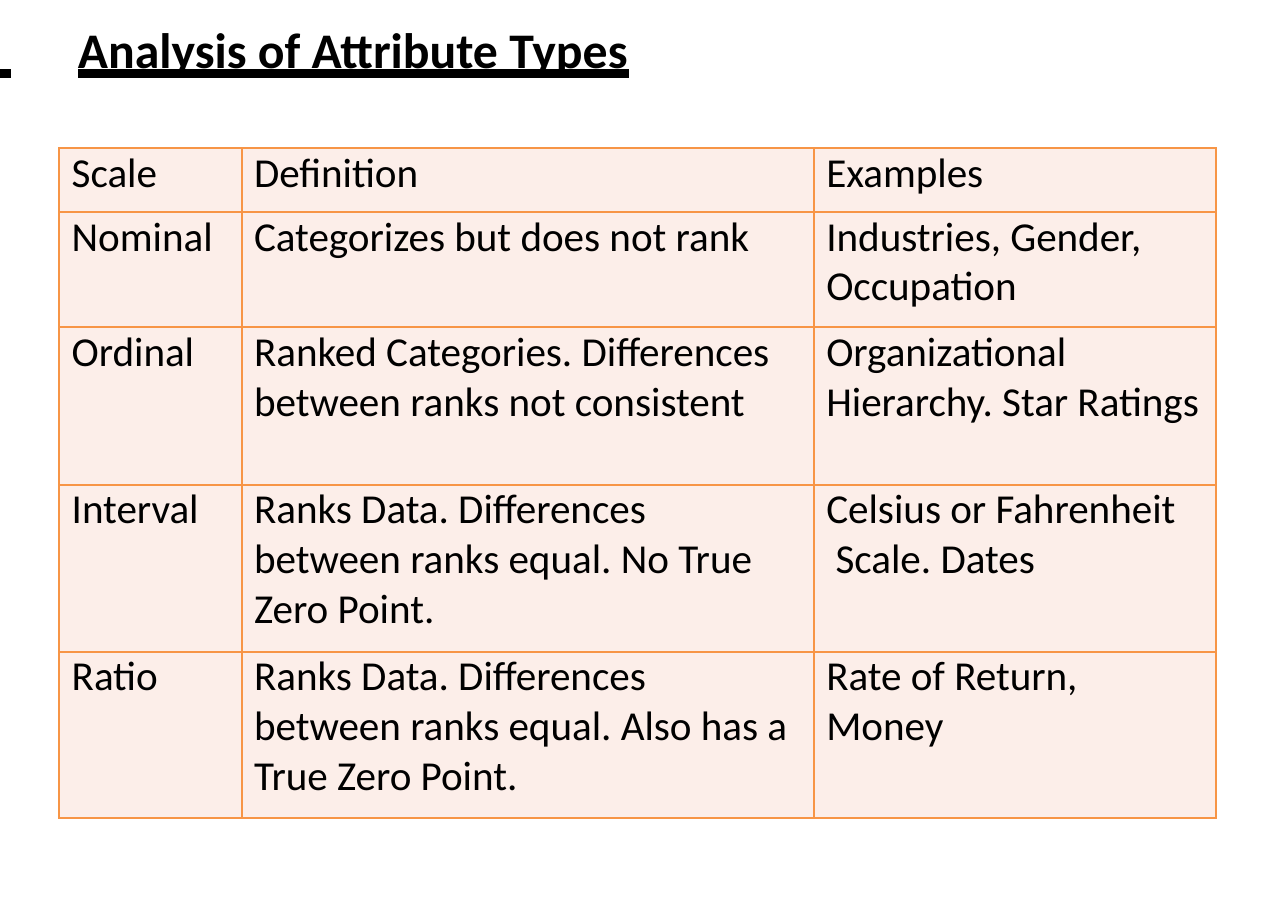
from lxml import etree
from pptx import Presentation
from pptx import util as u
from pptx.dml.color import RGBColor
from pptx.enum import text
from pptx.oxml.ns import qn

HUES = {"ink": "000000", "cell": "FCEEE9", "edge": "F79546"}
COLS = [1.17, 3.67, 2.58]
TALL = [0.41, 0.74, 1.01, 1.07, 1.07]
ROWS = [
    ["Scale", "Definition", "Examples"],
    ["Nominal", "Categorizes but does not rank",
     "Industries, Gender,\nOccupation"],
    ["Ordinal", "Ranked Categories. Differences\vbetween ranks not consistent",
     "Organizational\vHierarchy. Star Ratings"],
    ["Interval", "Ranks Data. Differences\vbetween ranks equal. No True\vZero Point.",
     "Celsius or Fahrenheit\v Scale. Dates"],
    ["Ratio", "Ranks Data. Differences\vbetween ranks equal. Also has a\vTrue Zero Point.",
     "Rate of Return,\nMoney"],
]


def write(frame, words, size, bold=False, line=None, before=0):
    """Fill a text frame; \\n starts a paragraph and \\v a new line."""
    frame.text = words
    for i, para in enumerate(frame.paragraphs):
        para.alignment = text.PP_ALIGN.LEFT
        para.line_spacing = 1.0
        para.space_before = u.Pt(0 if i else before)
        for run in para.runs:
            font = run.font
            font.name, font.size, font.bold = "Calibri", u.Pt(size), bold
            font.underline = line
            font.color.rgb = RGBColor.from_string(HUES["ink"])


class Page:
    def __init__(self, deck):
        self.slide = deck.slides.add_slide(deck.slide_layouts[5])

    def title(self, words, box, tabs):
        shape = self.slide.shapes.title
        shape.left, shape.top, shape.width, shape.height = map(u.Inches, box)
        frame = shape.text_frame
        frame.margin_left = frame.margin_right = 0
        frame.margin_top = frame.margin_bottom = 0
        frame.vertical_anchor = text.MSO_ANCHOR.TOP
        frame.auto_size = text.MSO_AUTO_SIZE.NONE
        write(frame, words, 23, bold=True,
              line=text.MSO_TEXT_UNDERLINE_TYPE.HEAVY_LINE)
        props = frame.paragraphs[0]._p.get_or_add_pPr()
        props.set("marL", str(u.Inches(0.01)))
        props.set("indent", "0")
        stops = etree.SubElement(props, qn("a:tabLst"))
        for stop in tabs:
            etree.SubElement(stops, qn("a:tab"), pos=str(u.Inches(stop)), algn="l")

    def edges(self, cell):
        """Draw all four borders of a cell."""
        props = cell._tc.get_or_add_tcPr()
        for i, side in enumerate(("lnL", "lnR", "lnT", "lnB")):
            line = etree.Element(qn("a:" + side), w=str(u.Pt(1)))
            fill = etree.SubElement(line, qn("a:solidFill"))
            etree.SubElement(fill, qn("a:srgbClr"), val=HUES["edge"])
            props.insert(i, line)

    def table(self, rows, left, top, wide, tall):
        frame = self.slide.shapes.add_table(
            len(rows), len(wide), u.Inches(left), u.Inches(top),
            u.Inches(sum(wide)), u.Inches(sum(tall)))
        grid = frame.table
        grid.first_row = grid.horz_banding = False
        for col, width in zip(grid.columns, wide):
            col.width = u.Inches(width)
        for row, height, words in zip(grid.rows, tall, rows):
            row.height = u.Inches(height)
            for cell, label in zip(row.cells, words):
                cell.margin_left = u.Inches(0.08)
                cell.margin_right = cell.margin_top = cell.margin_bottom = 0
                cell.fill.solid()
                cell.fill.fore_color.rgb = RGBColor.from_string(HUES["cell"])
                self.edges(cell)
                write(cell.text_frame, label, 19, before=1.1)


def main():
    deck = Presentation()
    deck.slide_width, deck.slide_height = u.Inches(8.26), u.Inches(5.83)
    page = Page(deck)
    page.title(" \tAnalysis of Attribute Types", (-0.01, 0.12, 8.3, 0.41), (0.26, 8.28))
    page.table(ROWS, 0.38, 0.95, COLS, TALL)
    deck.save("out.pptx")


if __name__ == "__main__":
    main()
